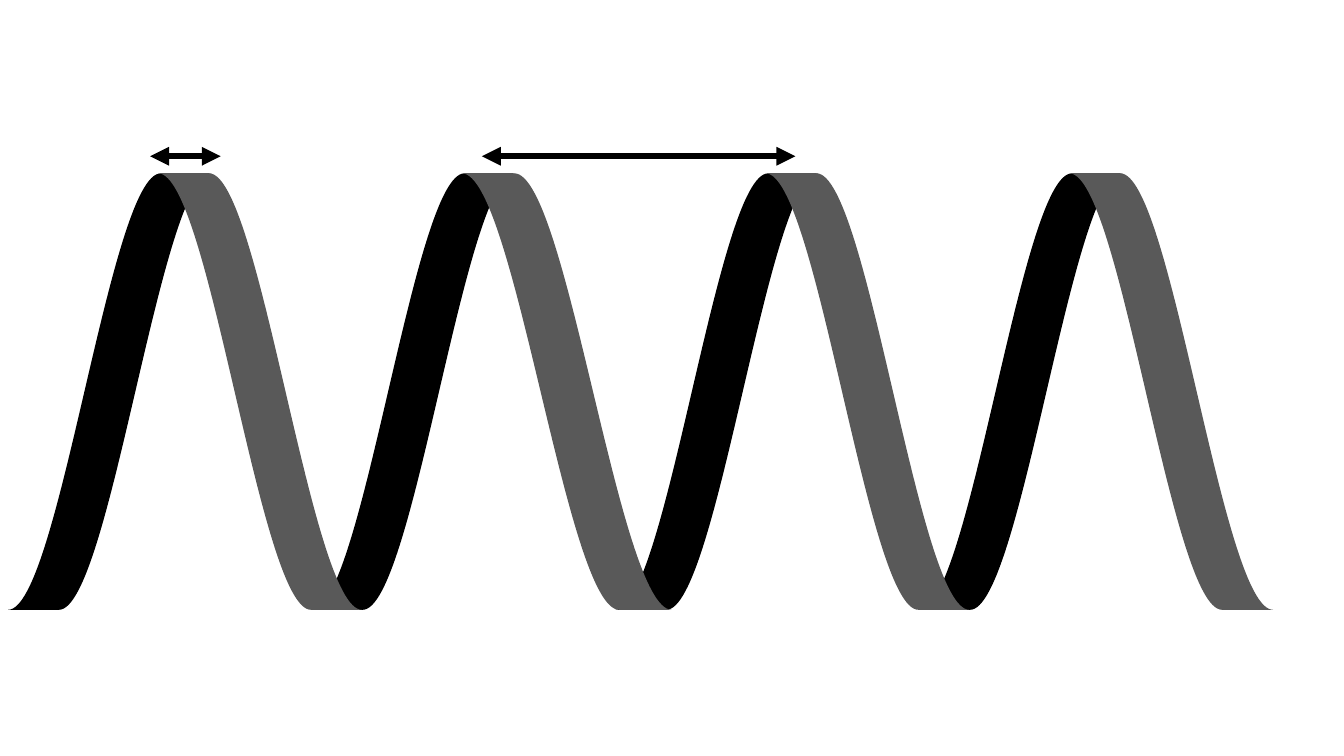
from dataclasses import dataclass

from lxml.etree import Element as Node, SubElement as Sub
from pptx import Presentation
from pptx.dml.color import RGBColor as Rgb
from pptx.enum.shapes import MSO_CONNECTOR as Conn
from pptx.oxml.ns import qn
from pptx.util import Inches, Pt


@dataclass(frozen=True)
class Theme:
    front: str = "595959"
    back: str = "000000"
    arrow: str = "000000"
    stroke: float = 4.5


THEME = Theme()

# Coil grid, in inches
TURNS, PITCH = 4, 3.013
START, SHIFT = 0.08, 1.49   # first back band; front band's offset from it
CREST, FOOT = 1.72, 6.05
BAND, WIDE = 2.02, 2.08     # width of a band; the second front band is wider

# Corners of a rising band, as shares of its box: foot, crest, crest, foot
RING = ((0, 0), (0.75, 1), (1, 1), (0.25, 0), (0, 0))


def bend(shape):
    """Turn the two long sides of a band into S-curves, level at both ends."""
    track = next(shape._element.iter(qn("a:path")))
    dots = [(int(pt.get("x")), int(pt.get("y")))
            for pt in track.iter(qn("a:pt"))]
    sides = track.findall(qn("a:lnTo"))
    for n in (0, 2):
        (x1, y1), (x2, y2) = dots[n], dots[n + 1]
        third = (x2 - x1) / 3
        curve = Node(qn("a:cubicBezTo"))
        for x, y in ((x1 + third, y1), (x2 - third, y2), (x2, y2)):
            Sub(curve, qn("a:pt"), x=str(round(x)), y=str(y))
        track.replace(sides[n], curve)


def band(group, left, width, color, falls=False):
    """Draw one slanted ribbon; a falling one is the rising one mirrored."""
    dots = [(Inches(left + width * (1 - x if falls else x)),
             Inches(FOOT - (FOOT - CREST) * y)) for x, y in RING]
    pen = group.shapes.build_freeform(*dots[0], scale=1.0)
    pen.add_line_segments(dots[1:], close=True)
    shape = pen.convert_to_shape()
    bend(shape)
    shape.shadow.inherit = False
    shape.fill.solid()
    shape.fill.fore_color.rgb = Rgb.from_string(color)
    shape.line.fill.background()


def arrow(slide, left, right, y):
    """Draw a level line with a triangle at both ends."""
    line = slide.shapes.add_connector(
        Conn.STRAIGHT, Inches(left), Inches(y), Inches(right), Inches(y))
    form = {"width": Pt(THEME.stroke)}
    for key, value in form.items():
        setattr(line.line, key, value)
    line.line.color.rgb = Rgb.from_string(THEME.arrow)
    props = line._element.spPr.find(qn("a:ln"))
    for end in ("a:headEnd", "a:tailEnd"):
        Sub(props, qn(end), type="triangle")
    Sub(line._element.spPr, qn("a:effectLst"))


def main():
    deck = Presentation()
    size = {"slide_width": Inches(13.333), "slide_height": Inches(7.5)}
    for key, value in size.items():
        setattr(deck, key, value)
    slide = deck.slides.add_slide(deck.slide_layouts[6])

    # Coil, from the right so that each front band covers the next turn's foot
    coil = slide.shapes.add_group_shape()
    for turn in reversed(range(TURNS)):
        left = START + turn * PITCH
        band(coil, left, BAND, THEME.back)
        band(coil, left + SHIFT, WIDE if turn == 1 else BAND,
             THEME.front, falls=True)

    # Band width and pitch
    for left, right in ((1.49, 2.19), (4.78, 7.89)):
        arrow(slide, left, right, 1.55)

    deck.save("out.pptx")


if __name__ == "__main__":
    main()
